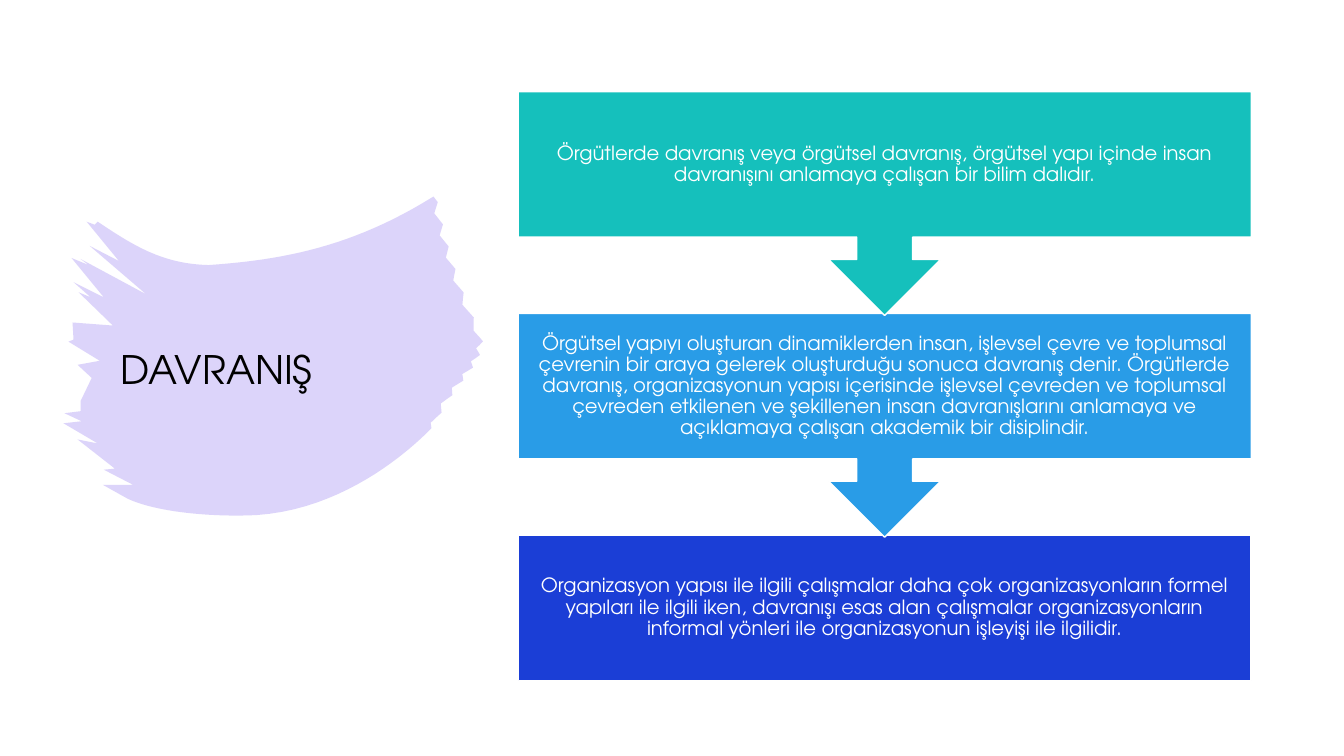
"""Builds the DAVRANIŞ slide: a brush stroke title beside a three-step downward flow."""
from math import pi, sin

from lxml import etree
from pptx import Presentation
from pptx.dml.color import RGBColor
from pptx.enum.shapes import MSO_SHAPE
from pptx.enum.text import MSO_ANCHOR, PP_ALIGN
from pptx.oxml.ns import qn
from pptx.util import Inches, Pt

CALLOUT, RECTANGLE = MSO_SHAPE.DOWN_ARROW_CALLOUT, MSO_SHAPE.RECTANGLE
LEFT, CENTER, MIDDLE = PP_ALIGN.LEFT, PP_ALIGN.CENTER, MSO_ANCHOR.MIDDLE
FONT = "TeX Gyre Adventor"
WHITE, BLACK, PURPLE = "FFFFFF", "000000", "5429E7"
TEAL, SKY, BLUE = "15C0BC", "299CE7", "1B3ED6"
FLOW_LEFT, FLOW_TOP, FLOW_WIDTH, FLOW_STEP = 5.14, 0.91, 7.27, 2.2
BOX_HEIGHT, CALLOUT_HEIGHT = 1.44, 2.22
CURVE_STEPS = 24
SMOOTH, RAGGED = 0, 0.03

STEPS = [
    (TEAL, CALLOUT, CALLOUT_HEIGHT,
     "Örgütlerde davranış veya örgütsel davranış, örgütsel yapı içinde insan "
     "davranışını anlamaya çalışan bir bilim dalıdır."),
    (SKY, CALLOUT, CALLOUT_HEIGHT,
     "Örgütsel yapıyı oluşturan dinamiklerden insan, işlevsel çevre ve toplumsal "
     "çevrenin bir araya gelerek oluşturduğu sonuca davranış denir. Örgütlerde davranış, "
     "organizasyonun yapısı içerisinde işlevsel çevreden ve toplumsal çevreden etkilenen ve "
     "şekillenen insan davranışlarını anlamaya ve açıklamaya çalışan akademik bir disiplindir."),
    (BLUE, RECTANGLE, BOX_HEIGHT,
     "Organizasyon yapısı ile ilgili çalışmalar daha çok organizasyonların formel yapıları "
     "ile ilgili iken, davranışı esas alan çalışmalar organizasyonların informal yönleri ile "
     "organizasyonun işleyişi ile ilgilidir."),
]

TOP_LEFT, TOP_DIP, TOP_RIGHT = (0.97, 2.2), (2.07, 2.63), (4.3, 1.95)
RIGHT_BULGE, RIGHT_END = (4.76, 3.35), (4.28, 4.25)
BOTTOM_DIP, BOTTOM_LEFT = (2.55, 5.11), (1.27, 4.95)
BRUSH_EDGES = [
    (TOP_LEFT, (1.3, 2.42), (1.6, 2.62), TOP_DIP, SMOOTH),
    (TOP_DIP, (2.8, 2.58), (3.5, 2.45), TOP_RIGHT, SMOOTH),
    (TOP_RIGHT, (4.4, 2.4), (4.5, 2.8), RIGHT_BULGE, RAGGED),
    (RIGHT_BULGE, (4.78, 3.65), (4.45, 3.8), RIGHT_END, RAGGED),
    (RIGHT_END, (4.27, 4.25), (3.57, 5.04), BOTTOM_DIP, SMOOTH),
    (BOTTOM_DIP, (2.2, 5.13), (1.6, 5.1), BOTTOM_LEFT, SMOOTH),
]
BRISTLE_TIPS_AND_ROOTS = [
    ((1.02, 4.81), (1.32, 4.81)), ((1.03, 4.66), (1.14, 4.65)), ((0.77, 4.36), (0.97, 4.4)),
    ((0.63, 4.2), (0.81, 4.18)), ((0.64, 4.1), (0.8, 4.08)), ((0.8, 3.98), (0.91, 3.75)),
    ((0.77, 3.62), (0.99, 3.58)), ((0.68, 3.39), (0.73, 3.37)), ((0.72, 3.2), (1.12, 3.23)),
    ((0.78, 2.9), (0.9, 2.95)), ((0.73, 2.8), (1.03, 2.95)), ((0.71, 2.56), (0.88, 2.63)),
    ((0.8, 2.57), (1.45, 2.92)), ((0.89, 2.44), (1.18, 2.59)), ((0.86, 2.2), (0.94, 2.23)),
]


def color(hex_string):
    return RGBColor.from_string(hex_string)


def write(box, text, size=14, ink=WHITE, align=CENTER, inset=0.11):
    frame = box.text_frame
    frame.word_wrap = True
    frame.vertical_anchor = MIDDLE
    frame.margin_left = frame.margin_right = Inches(inset)
    frame.margin_top = frame.margin_bottom = Inches(inset)
    para = frame.paragraphs[0]
    para.alignment = align
    para.line_spacing = 0.9
    span = para.add_run()
    span.text = text
    span.font.name = FONT
    span.font.size = Pt(size)
    span.font.color.rgb = color(ink)


deck = Presentation()
deck.slide_width = Inches(13.33)
deck.slide_height = Inches(7.5)
page = deck.slides.add_slide(deck.slide_layouts[6])

outline = []
for start, start_pull, end_pull, end, wobble in BRUSH_EDGES:
    for step_number in range(CURVE_STEPS):
        t = step_number / CURVE_STEPS
        weights = ((1 - t) ** 3, 3 * t * (1 - t) ** 2, 3 * t ** 2 * (1 - t), t ** 3)
        x, y = (sum(weight * value for weight, value in zip(weights, values))
                for values in zip(start, start_pull, end_pull, end))
        outline.append((x + wobble * sin(step_number * pi / 2), y))
outline.append(BOTTOM_LEFT)
for tip, root in BRISTLE_TIPS_AND_ROOTS:
    outline += [tip, root]

corners = [(Inches(x), Inches(y)) for x, y in outline]
builder = page.shapes.build_freeform(*corners[0])
builder.add_line_segments(corners[1:], close=True)
brush = builder.convert_to_shape()
brush.shadow.inherit = False
brush.line.fill.background()
brush.fill.solid()
brush.fill.fore_color.rgb = color(PURPLE)
brush_color = brush.element.spPr.find(qn("a:solidFill")).find(qn("a:srgbClr"))
etree.SubElement(brush_color, qn("a:alpha"), val="20000")

title = page.shapes.add_textbox(Inches(1.1), Inches(2.87), Inches(3.29), Inches(1.64))
write(title, "DAVRANIŞ", size=28, ink=BLACK, align=LEFT, inset=0.1)

for index, (fill, kind, height, text) in reversed(list(enumerate(STEPS))):
    step = page.shapes.add_shape(kind, Inches(FLOW_LEFT), Inches(FLOW_TOP + index * FLOW_STEP),
                                 Inches(FLOW_WIDTH), Inches(height))
    step.shadow.inherit = False
    step.fill.solid()
    step.fill.fore_color.rgb = color(fill)
    step.line.color.rgb = color(WHITE)
    step.line.width = Pt(1)
    write(step, text)

deck.save("out.pptx")
